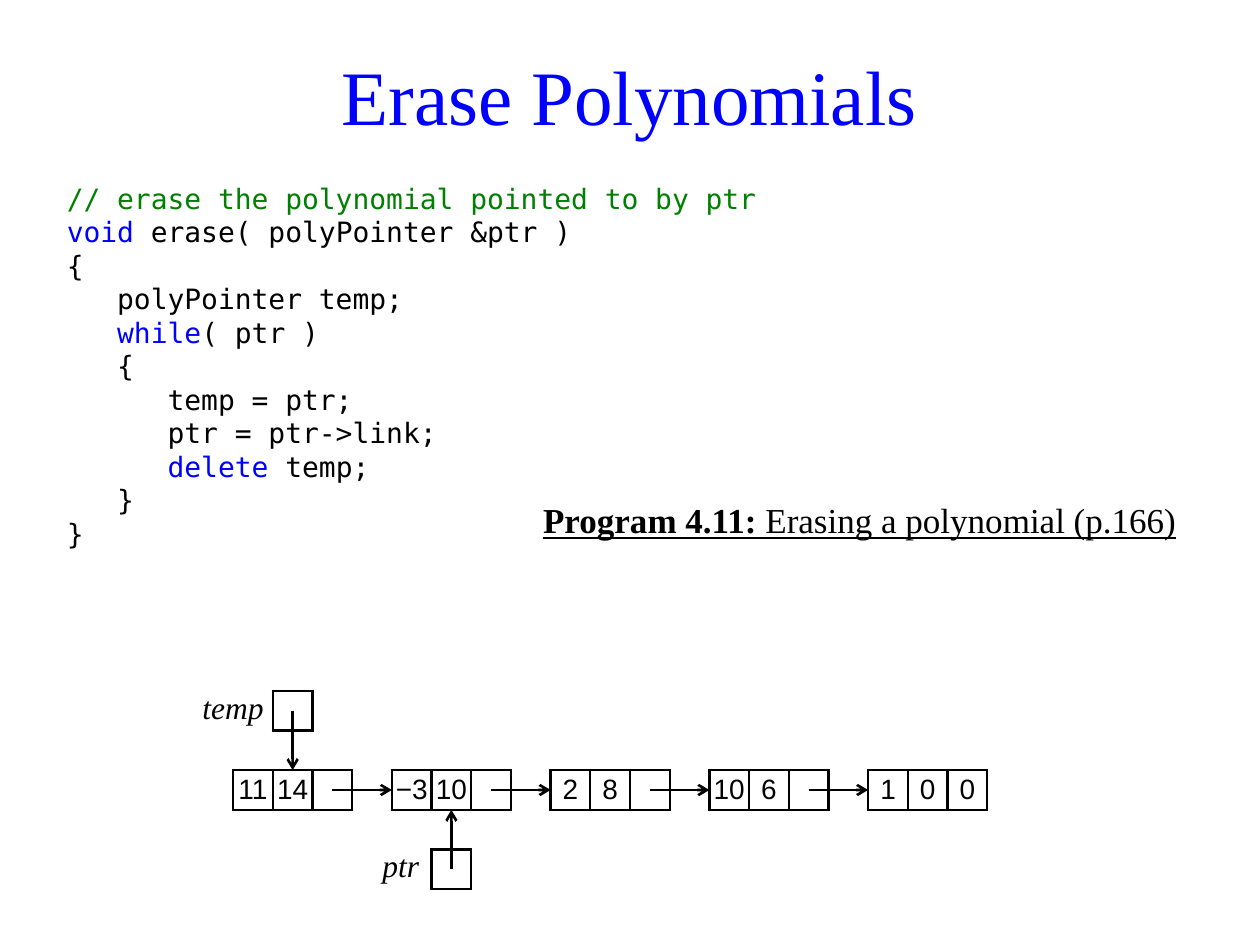
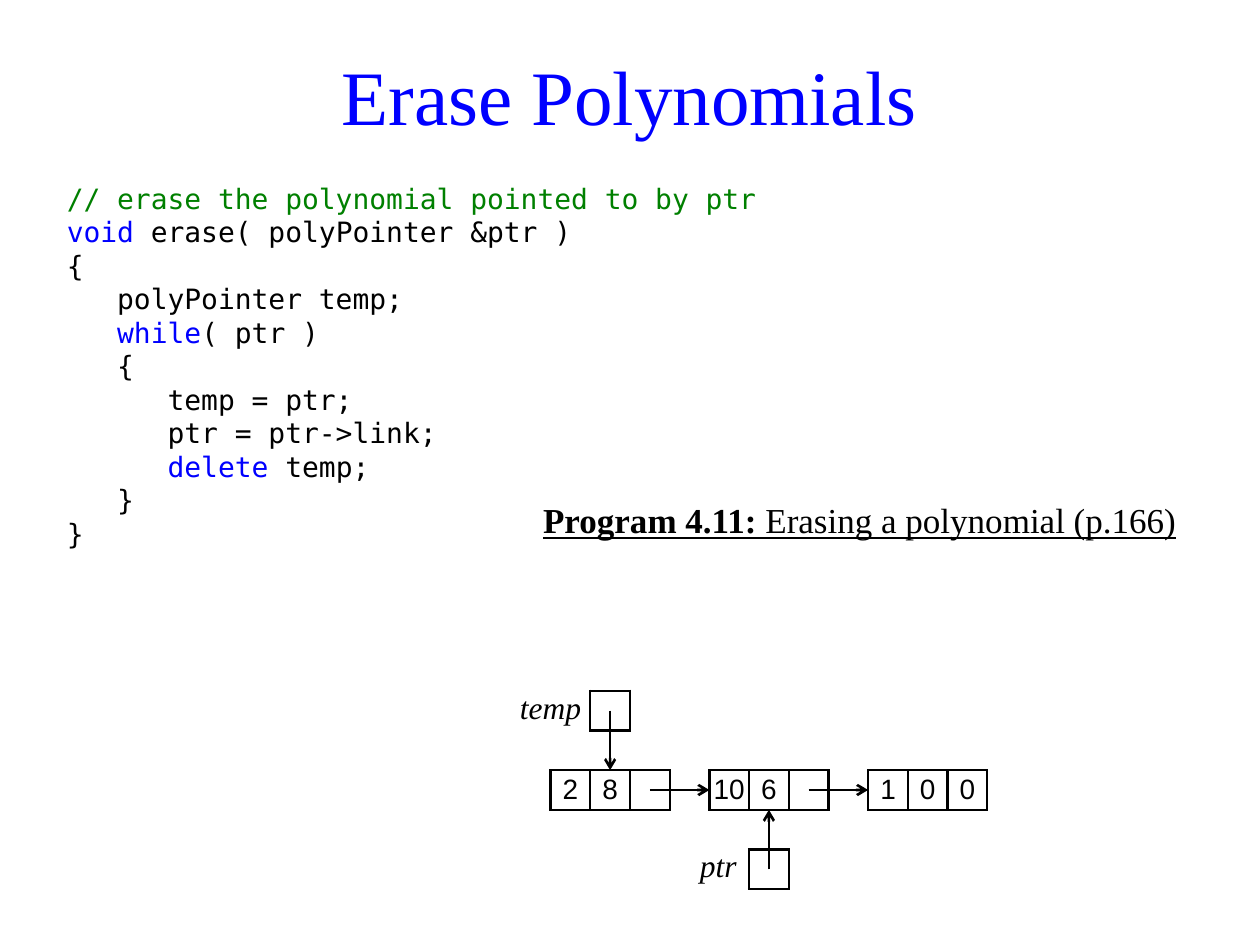
import lxml.etree
import pptx
import pptx.dml.color
import pptx.enum.shapes
import pptx.enum.text
import pptx.oxml.ns
import pptx.util

COLORS = {"title": "0000FF", "keyword": "0000FF", "comment": "008000", "ink": "000000"}
FONTS = {"prose": "Times New Roman", "code": "DejaVu Sans Mono", "cell": "Arial"}
LINE_WIDTH = pptx.util.Pt(1.5)
ALIGN = pptx.enum.text.PP_ALIGN
ANCHOR = pptx.enum.text.MSO_ANCHOR

# Percentages of the slide's width and height: left, top, width, height
TITLE_AREA = (4.3, 3.73, 91.3, 12.53)
CODE_AREA = (4.3, 18.53, 58.3, 39.87)
CAPTION_AREA = (42.1, 52.13, 53.6, 6.27)

# The list grid: its first node starts at column 0, row 0
GRID_LEFT, GRID_TOP = 18.5, 81.5
CELL_WIDTH, CELL_HEIGHT = 3.15, 4.2
NODE_STEP = 4

TITLE = "Erase Polynomials"
CAPTION = ("Program 4.11:", " Erasing a polynomial (p.166)")
KEYWORDS = ("void", "while", "delete")
CODE = """\
// erase the polynomial pointed to by ptr
void erase( polyPointer &ptr )
{
   polyPointer temp;
   while( ptr )
   {
      temp = ptr;
      ptr = ptr->link;
      delete temp;
   }
}"""
NODES = [("11", "14", ""), ("−3", "10", ""), ("2", "8", ""), ("10", "6", ""), ("1", "0", "0")]


def rgb(name):
    return pptx.dml.color.RGBColor.from_string(COLORS[name])


def set_font(font, face, size, color="ink"):
    font.name = FONTS[face]
    font.size = pptx.util.Pt(size)
    font.color.rgb = rgb(color)


def add_element(parent, tag, **attributes):
    return lxml.etree.SubElement(parent, pptx.oxml.ns.qn(tag), **attributes)


def split_code(line):
    """Yield the line's pieces, each with its colour."""
    if line.startswith("//"):
        yield line, "comment"
        return
    keyword = next((word for word in KEYWORDS if word in line), None)
    if keyword is None:
        yield line, "ink"
        return
    before, found, after = line.partition(keyword)
    yield from ((before, "ink"), (found, "keyword"), (after, "ink"))


class Page:
    def __init__(self, deck):
        self.deck = deck
        self.slide = deck.slides.add_slide(deck.slide_layouts.get_by_name("Two Content"))
        for shape in list(self.slide.placeholders):
            if shape.placeholder_format.idx > 2:
                shape.element.getparent().remove(shape.element)

    def share(self, across, down):
        """Turn percentages of the slide's size into lengths."""
        return (round(self.deck.slide_width * across / 100),
                round(self.deck.slide_height * down / 100))

    def grid_point(self, column, row):
        return self.share(GRID_LEFT + column * CELL_WIDTH, GRID_TOP + row * CELL_HEIGHT)

    def grid_size(self, columns, rows):
        return self.share(columns * CELL_WIDTH, rows * CELL_HEIGHT)

    def place(self, index, area):
        """Move a placeholder and return its text frame."""
        shape = self.slide.placeholders[index]
        shape.left, shape.top = self.share(*area[:2])
        shape.width, shape.height = self.share(*area[2:])
        frame = shape.text_frame
        frame.word_wrap = True
        frame.auto_size = pptx.enum.text.MSO_AUTO_SIZE.NONE
        return frame

    def plain_paragraph(self, para, face, size):
        """Format a body paragraph without bullet, indent or space before."""
        properties = para._p.get_or_add_pPr()
        properties.set("marL", "0")
        properties.set("indent", "0")
        add_element(properties, "a:buNone")
        para.space_before = pptx.util.Pt(0)
        set_font(para.font, face, size)

    def title(self, text):
        frame = self.place(0, TITLE_AREA)
        frame.vertical_anchor = ANCHOR.MIDDLE
        para = frame.paragraphs[0]
        para.text = text
        para.alignment = ALIGN.CENTER
        set_font(para.font, "prose", 44, "title")

    def code(self, listing):
        frame = self.place(1, CODE_AREA)
        for number, line in enumerate(listing.splitlines()):
            para = frame.add_paragraph() if number else frame.paragraphs[0]
            self.plain_paragraph(para, "code", 16)
            para.line_spacing = pptx.util.Pt(19.15)
            for text, color in split_code(line):
                if text:
                    span = para.add_run()
                    span.text = text
                    span.font.color.rgb = rgb(color)

    def caption(self, label, text):
        para = self.place(2, CAPTION_AREA).paragraphs[0]
        self.plain_paragraph(para, "prose", 20)
        para.font.underline = True
        for part, bold in ((label, True), (text, False)):
            span = para.add_run()
            span.text = part
            span.font.bold = bold

    def cells(self, column, row, values):
        """Draw a one-row table of square cells on the grid."""
        count = len(values)
        table = self.slide.shapes.add_table(
            1, count, *self.grid_point(column, row), *self.grid_size(count, 1)).table
        table.first_row = table.horz_banding = False
        for cell, value in zip(table.rows[0].cells, values):
            cell.margin_left = cell.margin_right = cell.margin_top = cell.margin_bottom = 0
            cell.vertical_anchor = ANCHOR.MIDDLE
            properties = cell._tc.get_or_add_tcPr()
            for side in "LRTB":
                border = add_element(properties, f"a:ln{side}", w=str(LINE_WIDTH))
                fill = add_element(border, "a:solidFill")
                add_element(fill, "a:srgbClr", val=COLORS["ink"])
            cell.fill.background()
            para = cell.text_frame.paragraphs[0]
            para.alignment = ALIGN.CENTER
            set_font(para.font, "cell", 16)
            if value:
                para.add_run().text = value

    def arrow(self, start, end):
        connector = self.slide.shapes.add_connector(
            pptx.enum.shapes.MSO_CONNECTOR.STRAIGHT,
            *self.grid_point(*start), *self.grid_point(*end))
        connector.line.color.rgb = rgb("ink")
        connector.line.width = LINE_WIDTH
        add_element(connector.line._get_or_add_ln(), "a:tailEnd", type="arrow")
        add_element(connector._element.spPr, "a:effectLst")

    def label(self, text, column, row, alignment, side_margin):
        box = self.slide.shapes.add_textbox(
            *self.grid_point(column, row), *self.grid_size(2, 1))
        frame = box.text_frame
        frame.word_wrap = False
        frame.vertical_anchor = ANCHOR.BOTTOM
        frame.margin_left = frame.margin_right = pptx.util.Inches(side_margin)
        frame.margin_top = 0
        frame.margin_bottom = pptx.util.Inches(0.04)
        para = frame.paragraphs[0]
        para.text = text
        para.alignment = alignment
        set_font(para.font, "prose", 18)
        para.font.italic = True

    def node(self, position):
        column = position * NODE_STEP
        self.cells(column, 0, NODES[position])
        if position < len(NODES) - 1:
            self.arrow((column + 2.5, 0.5), (column + NODE_STEP, 0.5))

    def pointer(self, name, position, row, target_row, alignment, side_margin):
        """Draw a named pointer box whose arrow meets the node at target_row."""
        column = position * NODE_STEP + 1
        self.cells(column, row, [""])
        self.arrow((column + 0.5, row + 0.5), (column + 0.5, target_row))
        self.label(name, column - 2, row, alignment, side_margin)


def add_erase_step(deck, first):
    """Show the list from node first on, with temp there and ptr one node ahead."""
    page = Page(deck)
    page.title(TITLE)
    page.code(CODE)
    page.caption(*CAPTION)
    for position in range(first, len(NODES)):
        page.node(position)
    page.pointer("temp", first, -2, 0, ALIGN.CENTER, 0)
    page.pointer("ptr", first + 1, 2, 1, ALIGN.RIGHT, 0.1)


def main():
    deck = pptx.Presentation()
    deck.slide_width = pptx.util.Inches(10)
    deck.slide_height = pptx.util.Inches(7.5)
    for first in (0, 2):
        add_erase_step(deck, first)
    deck.save("out.pptx")


if __name__ == "__main__":
    main()
